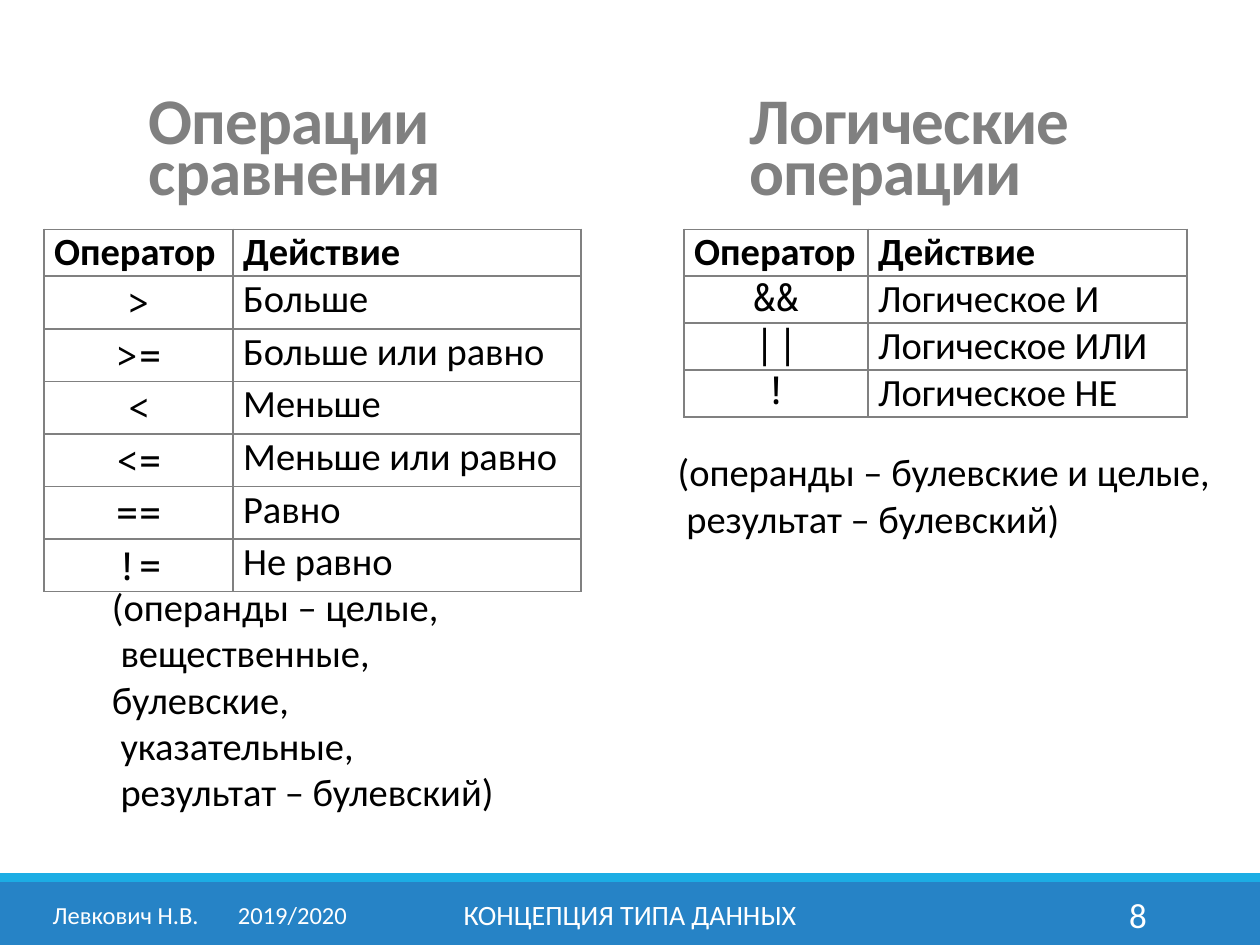
from dataclasses import dataclass
from typing import Optional, Union

from lxml.etree import SubElement
from pptx import Presentation
from pptx.dml.color import RGBColor
from pptx.enum.shapes import MSO_SHAPE
from pptx.enum.text import MSO_ANCHOR, MSO_AUTO_SIZE, PP_ALIGN
from pptx.oxml.ns import qn
from pptx.util import Inches, Pt

# The slide is a grid of 100 columns and 75 rows
CELL = Inches(0.1)
COLUMNS, ROWS = 100, 75
TEXT_FONT, CODE_FONT = "Calibri", "Noto Sans Mono"
GRAY, BLACK, WHITE = "808080", "000000", "FFFFFF"


@dataclass
class Box:
    column: float
    row: float
    width: float
    height: float

    def emu(self) -> tuple:
        return tuple(grid(n) for n in (self.column, self.row, self.width, self.height))


@dataclass
class OperatorTable:
    box: Box
    operator_width: float
    row_height: float
    operators: list
    line_spacing: Optional[Pt] = None


def grid(cells: float) -> int:
    return round(cells * CELL)


def color(value: str) -> RGBColor:
    return RGBColor.from_string(value)


def write(text_frame, text: str, *, size: float, font: str = TEXT_FONT,
          fill: str = BLACK, bold: bool = False, align=PP_ALIGN.LEFT,
          line_spacing: Union[float, Pt, None] = None,
          tracking: float = 0, tab: Optional[float] = None) -> None:
    """Fill a text frame; a newline parts paragraphs, a \\v breaks a line."""
    text_frame.text = ""
    for number, line in enumerate(text.split("\n")):
        paragraph = text_frame.add_paragraph() if number else text_frame.paragraphs[0]
        paragraph.text = line
        paragraph.alignment = align
        if line_spacing is not None:
            paragraph.line_spacing = line_spacing
        if tab is not None:
            tabs = SubElement(paragraph._p.get_or_add_pPr(), qn("a:tabLst"))
            SubElement(tabs, qn("a:tab"), pos=str(grid(tab)), algn="l")
        for run in paragraph.runs:
            run.font.size, run.font.name, run.font.bold = Pt(size), font, bold
            run.font.color.rgb = color(fill)
            if tracking:
                run.font._element.set("spc", str(round(tracking * 100)))


def place_text(shape, box: Box, text: str, anchor=MSO_ANCHOR.MIDDLE, **text_format) -> None:
    shape.left, shape.top, shape.width, shape.height = box.emu()
    text_frame = shape.text_frame
    text_frame.word_wrap = True
    text_frame.auto_size = MSO_AUTO_SIZE.NONE
    text_frame.vertical_anchor = anchor
    write(text_frame, text, **text_format)


def add_text(slide, box: Box, text: str, **text_format) -> None:
    place_text(slide.shapes.add_textbox(*box.emu()), box, text, **text_format)


def add_band(slide, box: Box, fill: str) -> None:
    shape = slide.shapes.add_shape(MSO_SHAPE.RECTANGLE, *box.emu())
    shape.shadow.inherit = False
    shape.fill.solid()
    shape.fill.fore_color.rgb = color(fill)
    shape.line.fill.background()


def format_cell(cell) -> None:
    cell.margin_left = cell.margin_right = grid(0.8)
    cell.margin_top = cell.margin_bottom = 0
    properties = cell._tc.get_or_add_tcPr()
    for side in ("a:lnL", "a:lnR", "a:lnT", "a:lnB"):
        border = SubElement(properties, qn(side), w=str(Pt(1)))
        SubElement(SubElement(border, qn("a:solidFill")), qn("a:srgbClr"), val=GRAY)
    cell.fill.solid()
    cell.fill.fore_color.rgb = color(WHITE)


def add_operator_table(slide, spec: OperatorTable) -> None:
    entries = [("Оператор", "Действие"), *spec.operators]
    table = slide.shapes.add_table(len(entries), 2, *spec.box.emu()).table
    table.first_row = table.horz_banding = False
    table.columns[0].width = grid(spec.operator_width)
    table.columns[1].width = grid(spec.box.width - spec.operator_width)
    for row, entry in enumerate(entries):
        table.rows[row].height = grid(spec.row_height if row else 3.65)
        for column, text in enumerate(entry):
            cell = table.cell(row, column)
            format_cell(cell)
            if row and column == 0:
                cell.vertical_anchor = MSO_ANCHOR.MIDDLE
                write(cell.text_frame, text, size=22, font=CODE_FONT,
                      align=PP_ALIGN.CENTER, line_spacing=spec.line_spacing)
            else:
                write(cell.text_frame, text, size=22, bold=row == 0)


def main() -> None:
    presentation = Presentation()
    presentation.slide_width, presentation.slide_height = grid(COLUMNS), grid(ROWS)
    slide = presentation.slides.add_slide(presentation.slide_layouts[5])

    # Footer bands and their texts
    add_band(slide, Box(0, 70, COLUMNS, 5), "2683C6")
    add_band(slide, Box(0, 69.3, COLUMNS, 0.7), "1CADE4")
    add_text(slide, Box(3.2, 70.6, 26.1, 4), "Левкович Н.В.\t2019/2020",
             size=14, fill=WHITE, tab=14.7)
    add_text(slide, Box(30.2, 70.6, 39.6, 4), "КОНЦЕПЦИЯ ТИПА ДАННЫХ",
             size=16, fill=WHITE, align=PP_ALIGN.CENTER)
    add_text(slide, Box(81.2, 70.6, 10.8, 4), "8",
             size=20, fill=WHITE, align=PP_ALIGN.RIGHT)

    # Headings of the two halves
    heading = dict(size=37.2, fill=GRAY, bold=True, line_spacing=0.65, tracking=-0.5)
    place_text(slide.shapes.title, Box(10.8, 7.6, 37, 9.4), "Операции сравнения", **heading)
    add_text(slide, Box(58.5, 7.6, 37, 9.4), "Логические операции", **heading)

    # Operator tables
    add_operator_table(slide, OperatorTable(
        Box(3.5, 18.2, 42.6, 28.7), 15, 4.17,
        [(">", "Больше"), (">=", "Больше или равно"), ("<", "Меньше"),
         ("<=", "Меньше или равно"), ("==", "Равно"), ("!=", "Не равно")]))
    add_operator_table(slide, OperatorTable(
        Box(54.3, 18.2, 39.9, 14.7), 14.6, 3.67,
        [("&&", "Логическое И"), ("||", "Логическое ИЛИ"), ("!", "Логическое НЕ")],
        line_spacing=Pt(26)))

    # Notes on operands
    note = dict(size=22, anchor=MSO_ANCHOR.TOP)
    add_text(slide, Box(7.9, 45.8, 34.6, 19.5),
             "(операнды – целые,\v вещественные, булевские,\v указательные,\n"
             " результат – булевский)", **note)
    add_text(slide, Box(52.8, 35.1, 44.9, 8.4),
             "(операнды – булевские и целые,\v результат – булевский)", **note)

    presentation.save("out.pptx")


if __name__ == "__main__":
    main()
